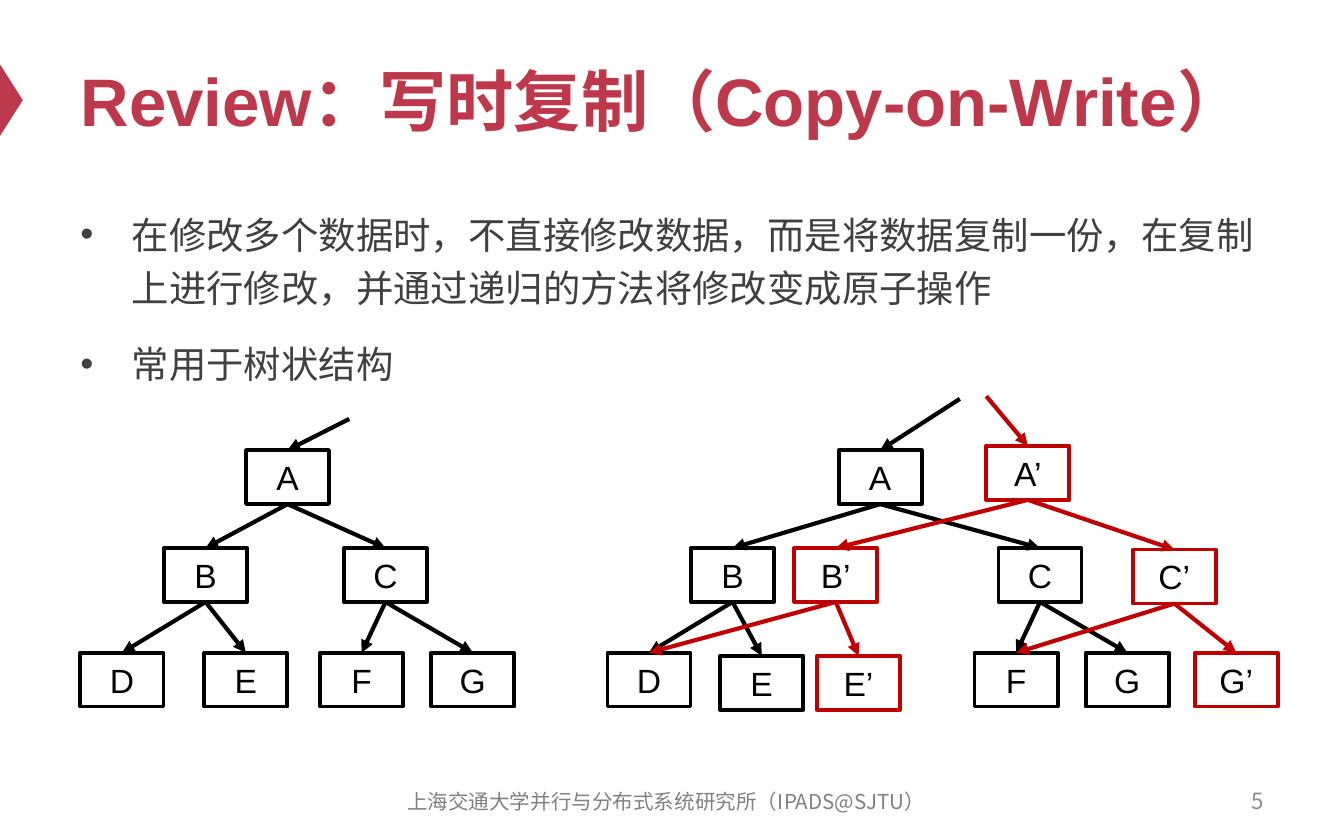
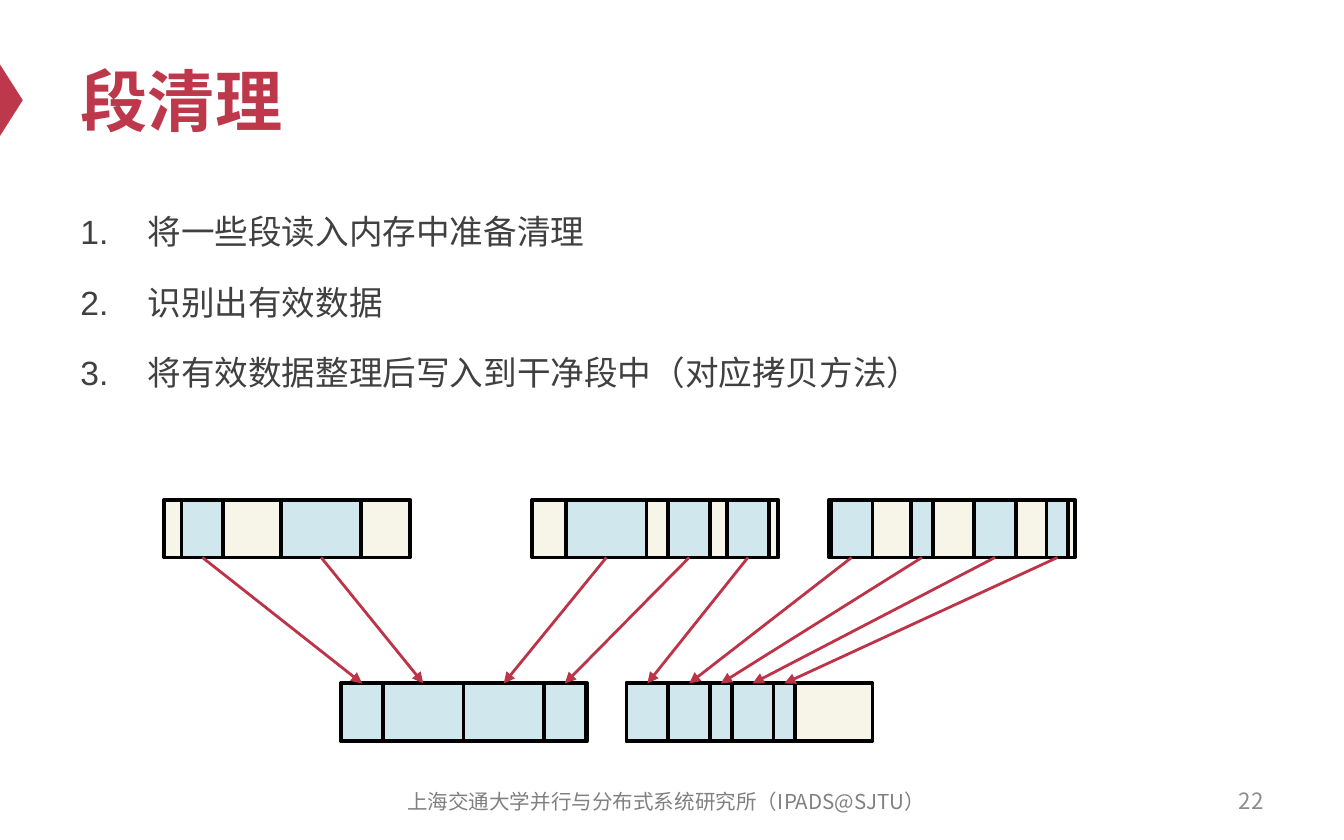
from dataclasses import dataclass

from lxml.etree import SubElement
from pptx import Presentation
from pptx.dml.color import RGBColor
from pptx.enum.shapes import MSO_CONNECTOR, MSO_SHAPE
from pptx.enum.text import MSO_ANCHOR, PP_ALIGN
from pptx.oxml.ns import qn
from pptx.util import Cm, Pt


@dataclass(frozen=True)
class Theme:
    """Colours, fonts and type sizes of the deck."""

    brand: str = "BE384B"
    ink: str = "404040"
    page: str = "8C8C8C"
    foot: str = "808080"
    black: str = "000000"
    white: str = "FFFFFF"
    red: str = "C00000"
    move: str = "BD3347"
    cream: str = "F7F4E8"
    live: str = "D0E7EE"
    face: str = "Arial"
    plain: str = "Noto Sans CJK SC"
    head_size: int = 36
    node_size: int = 18
    page_size: int = 12
    foot_size: int = 11
    edge: float = 2
    link: float = 2.25
    thin: float = 1.5


LOOK = Theme()
FOOT = "上海交通大学并行与分布式系统研究所（IPADS@SJTU）"
NODE = (1.57, 1.02)
ROWS = (8.51, 10.36, 12.34)
LINKS = ("AB", "AC", "BD", "BE", "CF", "CG")
LEFT = {
    "A": (4.65, ROWS[0]), "B": (3.1, ROWS[1]), "C": (6.5, ROWS[1]),
    "D": (1.52, ROWS[2]), "E": (3.86, ROWS[2]),
    "F": (6.05, ROWS[2]), "G": (8.15, ROWS[2]),
}
RIGHT = {
    "A": (15.85, ROWS[0]), "B": (13.06, ROWS[1]), "C": (18.87, ROWS[1]),
    "D": (11.48, ROWS[2]), "E": (13.61, 12.4),
    "F": (18.42, ROWS[2]), "G": (20.52, ROWS[2]),
}
FRESH = {
    "A’": (18.64, 8.43), "B’": (15.01, ROWS[1]), "C’": (21.41, 10.39),
    "E’": (15.44, 12.4), "G’": (22.58, ROWS[2]),
}
NEW_LINKS = (("A’", "B’"), ("A’", "C’"), ("B’", "D"),
             ("B’", "E’"), ("C’", "F"), ("C’", "G’"))

SEG = (4.65, 1.09)
BIG, MID, SMALL = 1.52, 0.79, 0.41
USED_TOP = 9.45
USED = (
    (3.1, ((0.33, MID), (2.21, BIG))),
    (10.06, ((0.64, BIG), (2.57, MID), (3.68, MID))),
    (15.67, ((0.03, MID), (1.55, SMALL), (2.74, MID), (4.11, SMALL))),
)
CLEAN_TOP = 12.92
CLEAN = ((6.45, 4), (11.84, 5))


def tint(code):
    """Turn a hex code into a colour."""
    return RGBColor.from_string(code)


def style(para, size, code, face=LOOK.face, bold=False):
    """Set the font of a whole paragraph, for Latin and Chinese alike."""
    font = para.font
    font.size = Pt(size)
    font.bold = bold
    font.color.rgb = tint(code)
    font.name = face
    base = para._p.get_or_add_pPr().find(qn("a:defRPr"))
    SubElement(base, qn("a:ea")).set("typeface", face)


def shape(slide, kind, place, fill, line=None):
    """Add a flat preset shape."""
    form = slide.shapes.add_shape(kind, *map(Cm, place))
    form.shadow.inherit = False
    form.fill.solid()
    form.fill.fore_color.rgb = tint(fill)
    if line:
        form.line.color.rgb = tint(line)
        form.line.width = Pt(LOOK.edge)
    else:
        form.line.fill.background()
    return form


def arrow(slide, end, code, width, start=None, spot=(0, 0)):
    """Draw an arrow to the top of a box, from a box or a free spot."""
    x, y = map(Cm, spot)
    line = slide.shapes.add_connector(MSO_CONNECTOR.STRAIGHT, x, y, x, y)
    if start is not None:
        line.begin_connect(start, 2)
    line.end_connect(end, 0)
    line.line.color.rgb = tint(code)
    line.line.width = Pt(width)
    props = line.element.spPr
    SubElement(props.find(qn("a:ln")), qn("a:tailEnd")).set("type", "triangle")
    SubElement(props, qn("a:effectLst"))


def label(slide, place, text, size, code, align):
    """Add a one-line footer text."""
    box = slide.shapes.add_textbox(*map(Cm, place))
    frame = box.text_frame
    frame.word_wrap = True
    frame.vertical_anchor = MSO_ANCHOR.MIDDLE
    para = frame.paragraphs[0]
    para.text = text
    para.alignment = align
    style(para, size, code, LOOK.plain)


def points(slide, items, size, indent, count=False):
    """Add the body text as a bulleted or numbered list."""
    box = slide.shapes.add_textbox(Cm(1.27), Cm(3.71), Cm(22.86), Cm(10.46))
    frame = box.text_frame
    frame.word_wrap = True
    for rank, item in enumerate(items):
        para = frame.add_paragraph() if rank else frame.paragraphs[0]
        para.text = item
        para.line_spacing = 1.2
        para.space_before = Pt(12 if rank else 0)
        props = para._p.get_or_add_pPr()
        props.set("marL", str(Cm(indent)))
        props.set("indent", str(-Cm(indent)))
        font = SubElement(props, qn("a:buFont"))
        font.set("typeface", LOOK.plain if count else LOOK.face)
        if count:
            SubElement(props, qn("a:buAutoNum")).set("type", "arabicPeriod")
        else:
            SubElement(props, qn("a:buChar")).set("char", "•")
        style(para, size, LOOK.ink)


def start(deck, title, page):
    """Add a slide with its title, side mark and footer."""
    slide = deck.slides.add_slide(deck.slide_layouts[5])
    mark = shape(slide, MSO_SHAPE.ISOSCELES_TRIANGLE,
                 (-0.46, 1.68, 1.35, 0.43), LOOK.brand)
    mark.rotation = 90
    head = slide.shapes.title
    head.left, head.top, head.width, head.height = map(
        Cm, (1.27, 0.64, 22.86, 2.49))
    head.text_frame.vertical_anchor = MSO_ANCHOR.MIDDLE
    para = head.text_frame.paragraphs[0]
    para.text = title
    para.alignment = PP_ALIGN.LEFT
    style(para, LOOK.head_size, LOOK.brand, bold=True)
    label(slide, (18.21, 14.71, 5.92, 0.84), str(page),
          LOOK.page_size, LOOK.page, PP_ALIGN.RIGHT)
    label(slide, (7.09, 14.73, 11, 0.84), FOOT,
          LOOK.foot_size, LOOK.foot, PP_ALIGN.CENTER)
    return slide


def nodes(slide, spots, code):
    """Draw named tree nodes and return them by name."""
    made = {}
    for name, spot in spots.items():
        box = shape(slide, MSO_SHAPE.RECTANGLE, spot + NODE, LOOK.white, code)
        box.text_frame.vertical_anchor = MSO_ANCHOR.MIDDLE
        para = box.text_frame.paragraphs[0]
        para.text = name
        para.alignment = PP_ALIGN.CENTER
        style(para, LOOK.node_size, LOOK.black)
        made[name] = box
    return made


def join(slide, boxes, links, code, root, spot):
    """Link parents to children and point a free arrow at the root."""
    for top, low in links:
        arrow(slide, boxes[low], code, LOOK.link, start=boxes[top])
    arrow(slide, boxes[root], code, LOOK.link, spot=spot)


def block(slide, left, top, width, fill):
    """Draw one part of a segment."""
    place = (left, top, width, SEG[1])
    return shape(slide, MSO_SHAPE.RECTANGLE, place, fill, LOOK.black)


def copy_slide(deck):
    """Build the slide on copy-on-write trees."""
    slide = start(deck, "Review：写时复制（Copy-on-Write）", 5)
    points(slide, (
        "在修改多个数据时，不直接修改数据，而是将数据复制一份，"
        "在复制上进行修改，并通过递归的方法将修改变成原子操作",
        "常用于树状结构",
    ), 20, 0.97)
    old = nodes(slide, LEFT, LOOK.black)
    join(slide, old, LINKS, LOOK.black, "A", (6.6, 7.92))
    both = nodes(slide, RIGHT, LOOK.black)
    join(slide, both, LINKS, LOOK.black, "A", (18.14, 7.54))
    both.update(nodes(slide, FRESH, LOOK.red))
    join(slide, both, NEW_LINKS, LOOK.red, "A’", (18.64, 7.49))


def clean_slide(deck):
    """Build the slide on moving live blocks into clean segments."""
    slide = start(deck, "段清理", 22)
    points(slide, (
        "将一些段读入内存中准备清理",
        "识别出有效数据",
        "将有效数据整理后写入到干净段中（对应拷贝方法）",
    ), 18, 1.27, count=True)
    live = []
    for left, parts in USED:
        block(slide, left, USED_TOP, SEG[0], LOOK.cream)
        for shift, width in parts:
            box = block(slide, left + shift, USED_TOP, width, LOOK.live)
            live.append((box, width))
    queue = iter(live)
    pairs = []
    for left, count in CLEAN:
        block(slide, left, CLEAN_TOP, SEG[0], LOOK.cream)
        for _ in range(count):
            box, width = next(queue)
            pairs.append((box, block(slide, left, CLEAN_TOP, width, LOOK.live)))
            left += width
    for source, goal in pairs:
        arrow(slide, goal, LOOK.move, LOOK.thin, start=source)


def main():
    """Build and save the deck."""
    deck = Presentation()
    deck.slide_width, deck.slide_height = Cm(25.4), Cm(15.88)
    copy_slide(deck)
    clean_slide(deck)
    deck.save("out.pptx")


if __name__ == "__main__":
    main()
